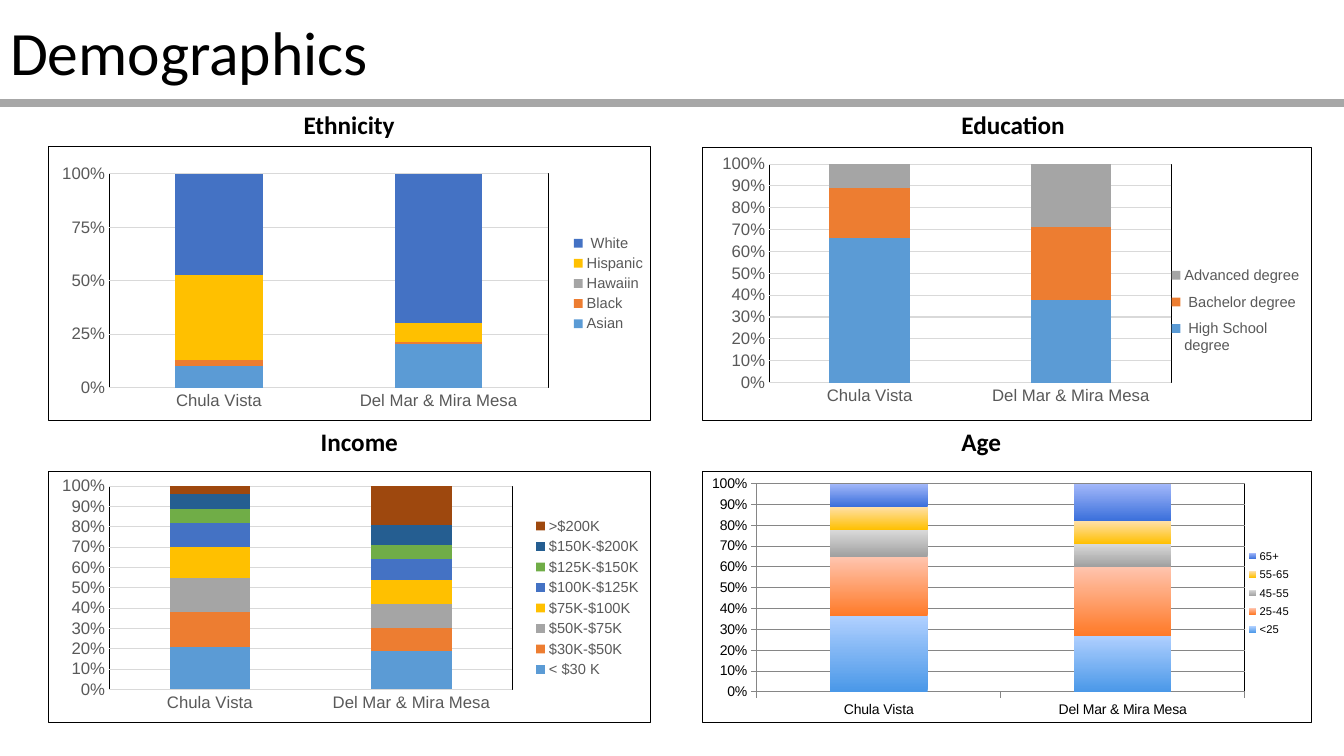
import pptx
import pptx.chart.data
import pptx.dml.color
import pptx.enum.chart
import pptx.enum.shapes
import pptx.enum.text
import pptx.oxml
import pptx.oxml.ns
import pptx.util

Cm = pptx.util.Cm
Pt = pptx.util.Pt
RGBColor = pptx.dml.color.RGBColor
qn = pptx.oxml.ns.qn

BLACK = RGBColor(0x00, 0x00, 0x00)
LABEL_GRAY = RGBColor(0x59, 0x59, 0x59)
GRID_GRAY = RGBColor(0xD9, 0xD9, 0xD9)
AXIS_GRAY = RGBColor(0x86, 0x86, 0x86)
RULE_GRAY = RGBColor(0xA7, 0xA7, 0xA7)
SERIES_COLORS = [
    RGBColor(0x5B, 0x9B, 0xD5), RGBColor(0xED, 0x7D, 0x31),
    RGBColor(0xA5, 0xA5, 0xA5), RGBColor(0xFF, 0xC0, 0x00),
    RGBColor(0x44, 0x72, 0xC4), RGBColor(0x70, 0xAD, 0x47),
    RGBColor(0x25, 0x5E, 0x91), RGBColor(0x9E, 0x48, 0x0E),
]
GRADIENTS = [
    (RGBColor(0x4A, 0x98, 0xE8), RGBColor(0xB0, 0xD0, 0xFF)),
    (RGBColor(0xFF, 0x7A, 0x28), RGBColor(0xFF, 0xC4, 0xAE)),
    (RGBColor(0xA0, 0xA0, 0xA0), RGBColor(0xD9, 0xD9, 0xD9)),
    (RGBColor(0xFF, 0xC0, 0x00), RGBColor(0xFF, 0xE0, 0xA8)),
    (RGBColor(0x3A, 0x6F, 0xDB), RGBColor(0xA3, 0xB8, 0xFA)),
]
SLIDE_WIDTH, SLIDE_HEIGHT = 33.87, 19.05
CITIES = ["Chula Vista", "Del Mar & Mira Mesa"]
CHART_NS = 'xmlns:c="http://schemas.openxmlformats.org/drawingml/2006/chart"'
DRAWING_NS = 'xmlns:a="http://schemas.openxmlformats.org/drawingml/2006/main"'

PANELS = [
    dict(heading="Ethnicity", heading_box=(7.52, 2.62, 2.59, 1.02),
         box=(1.22, 3.68, 15.19, 6.93), major_unit=0.25,
         plot=(0.1, 0.1, 0.73, 0.78), legend=(0.86, 0.31, 0.14, 0.38),
         series=[("Asian", (10, 20)), ("Black", (3, 1)), ("Hawaiin", (0, 0)),
                 ("Hispanic", (39, 9)), (" White", (47, 69))]),
    dict(heading="Education", heading_box=(24.1, 2.62, 2.9, 1.02),
         box=(17.68, 3.71, 15.39, 6.91),
         plot=(0.11, 0.06, 0.66, 0.8), legend=(0.76, 0.4, 0.23, 0.39),
         series=[(" High School degree", (66, 38)), (" Bachelor degree", (23, 33)),
                 ("Advanced degree", (11, 29))]),
    dict(heading="Income", heading_box=(7.95, 10.62, 2.21, 1.02),
         box=(1.22, 11.86, 15.19, 6.35),
         plot=(0.1, 0.06, 0.67, 0.81), legend=(0.8, 0.17, 0.19, 0.67),
         series=[("< $30 K", (21, 19)), ("$30K-$50K", (17, 11)),
                 ("$50K-$75K", (17, 12)), ("$75K-$100K", (15, 12)),
                 ("$100K-$125K", (12, 10)), ("$125K-$150K", (7, 7)),
                 ("$150K-$200K", (7, 10)), (">$200K", (4, 19))]),
    dict(heading="Age", heading_box=(24.1, 10.62, 1.27, 1.02),
         box=(17.68, 11.86, 15.39, 6.35), gradient=True,
         plot=(0.09, 0.05, 0.8, 0.83), legend=(0.88, 0.29, 0.1, 0.39),
         series=[("<25", (36, 27)), ("25-45", (28, 33)), ("45-55", (13, 11)),
                 ("55-65", (11, 11)), ("65+", (11, 18))]),
]


def format_font(font, size, color=BLACK, name="Arial", bold=False):
    font.size = Pt(size)
    font.name = name
    font.bold = bold
    font.color.rgb = color


def write_text(text_frame, text, size, bold=False, line_spacing=None):
    paragraph = text_frame.paragraphs[0]
    paragraph.alignment = pptx.enum.text.PP_ALIGN.LEFT
    paragraph.line_spacing = line_spacing
    run = paragraph.add_run()
    run.text = text
    format_font(run.font, size, name="Calibri", bold=bold)


def place_layout(parent, position, fractions, inner=False):
    for old_layout in parent.findall(qn("c:layout")):
        parent.remove(old_layout)
    target = '<c:layoutTarget val="inner"/>' if inner else ""
    sizes = "".join(f'<c:{tag} val="{value}"/>' for tag, value in zip("xywh", fractions))
    layout = pptx.oxml.parse_xml(
        f'<c:layout {CHART_NS}><c:manualLayout>{target}<c:xMode val="edge"/>'
        f'<c:yMode val="edge"/>{sizes}</c:manualLayout></c:layout>')
    parent.insert(position, layout)


def outline_properties():
    return pptx.oxml.parse_xml(
        f'<c:spPr {CHART_NS} {DRAWING_NS}><a:noFill/><a:ln w="9525"><a:solidFill>'
        f'<a:srgbClr val="{BLACK}"/></a:solidFill></a:ln></c:spPr>')


def format_axes(chart, gradient, major_unit):
    ticks = pptx.enum.chart.XL_TICK_MARK
    for axis in (chart.category_axis, chart.value_axis):
        axis.major_tick_mark = ticks.OUTSIDE if gradient else ticks.NONE
        axis.minor_tick_mark = ticks.NONE
        format_font(axis.tick_labels.font, 10 if gradient else 12,
                    BLACK if gradient else LABEL_GRAY)
        axis.format.line.width = Pt(0.75)
        axis.format.line.color.rgb = AXIS_GRAY if gradient else GRID_GRAY
    value_axis = chart.value_axis
    if not gradient:
        value_axis.format.line.fill.background()
    value_axis.major_unit = major_unit
    value_axis.tick_labels.number_format = "0%"
    value_axis.tick_labels.number_format_is_linked = False
    value_axis.has_major_gridlines = True
    gridline = value_axis.major_gridlines.format.line
    gridline.width = Pt(0.75)
    gridline.color.rgb = AXIS_GRAY if gradient else GRID_GRAY


def color_series(plot, gradient):
    for index, series in enumerate(plot.series):
        fill = series.format.fill
        if gradient:
            fill.gradient()
            fill.gradient_angle = 90
            for stop, color in zip(fill.gradient_stops, GRADIENTS[index]):
                stop.color.rgb = color
        else:
            fill.solid()
            fill.fore_color.rgb = SERIES_COLORS[index]


def add_panel(slide, heading, heading_box, box, plot, legend, series,
              gradient=False, major_unit=0.1):
    text_box = slide.shapes.add_textbox(*map(Cm, heading_box))
    text_frame = text_box.text_frame
    text_frame.word_wrap = False
    text_frame.auto_size = pptx.enum.text.MSO_AUTO_SIZE.SHAPE_TO_FIT_TEXT
    text_frame.margin_left = text_frame.margin_right = Cm(0.13)
    text_frame.margin_top = text_frame.margin_bottom = Cm(0.13)
    write_text(text_frame, heading, 18, bold=True)

    chart_data = pptx.chart.data.CategoryChartData()
    chart_data.categories = CITIES
    for name, values in series:
        chart_data.add_series(name, values)
    chart = slide.shapes.add_chart(
        pptx.enum.chart.XL_CHART_TYPE.COLUMN_STACKED_100, *map(Cm, box), chart_data).chart
    chart.has_title = False
    format_font(chart.font, 10)
    column_plot = chart.plots[0]
    column_plot.vary_by_categories = False
    column_plot.gap_width = 150
    column_plot.overlap = 100
    color_series(column_plot, gradient)
    format_axes(chart, gradient, major_unit)

    chart.has_legend = True
    chart.legend.position = pptx.enum.chart.XL_LEGEND_POSITION.RIGHT
    chart.legend.include_in_layout = False
    format_font(chart.legend.font, 8 if gradient else 10.5,
                BLACK if gradient else LABEL_GRAY)

    chart_element = chart.element.find(qn("c:chart"))
    plot_area = chart_element.find(qn("c:plotArea"))
    place_layout(plot_area, 0, plot, inner=True)
    place_layout(chart_element.find(qn("c:legend")), 1, legend)
    plot_area.append(outline_properties())
    chart_element.addnext(outline_properties())


def add_header(slide, left, top, width, height):
    title = slide.shapes.title
    title.left, title.top, title.width, title.height = map(Cm, (left, top, width, height))
    title.text_frame.word_wrap = True
    title.text_frame.auto_size = pptx.enum.text.MSO_AUTO_SIZE.NONE
    title.text_frame.vertical_anchor = pptx.enum.text.MSO_ANCHOR.MIDDLE
    write_text(title.text_frame, "Demographics", 44, line_spacing=0.9)
    rule_top = Cm(top + height - 0.66)
    rule = slide.shapes.add_connector(
        pptx.enum.shapes.MSO_CONNECTOR.STRAIGHT,
        Cm(left), rule_top, Cm(SLIDE_WIDTH), rule_top)
    rule.line.width = Pt(6)
    rule.line.color.rgb = RULE_GRAY
    rule.element.spPr.append(pptx.oxml.parse_xml(f"<a:effectLst {DRAWING_NS}/>"))


def main():
    presentation = pptx.Presentation()
    presentation.slide_width = Cm(SLIDE_WIDTH)
    presentation.slide_height = Cm(SLIDE_HEIGHT)
    slide = presentation.slides.add_slide(presentation.slide_layouts[5])
    add_header(slide, 0, -0.43, 29.21, 3.68)
    for panel in PANELS:
        add_panel(slide, **panel)
    presentation.save("out.pptx")


if __name__ == "__main__":
    main()
